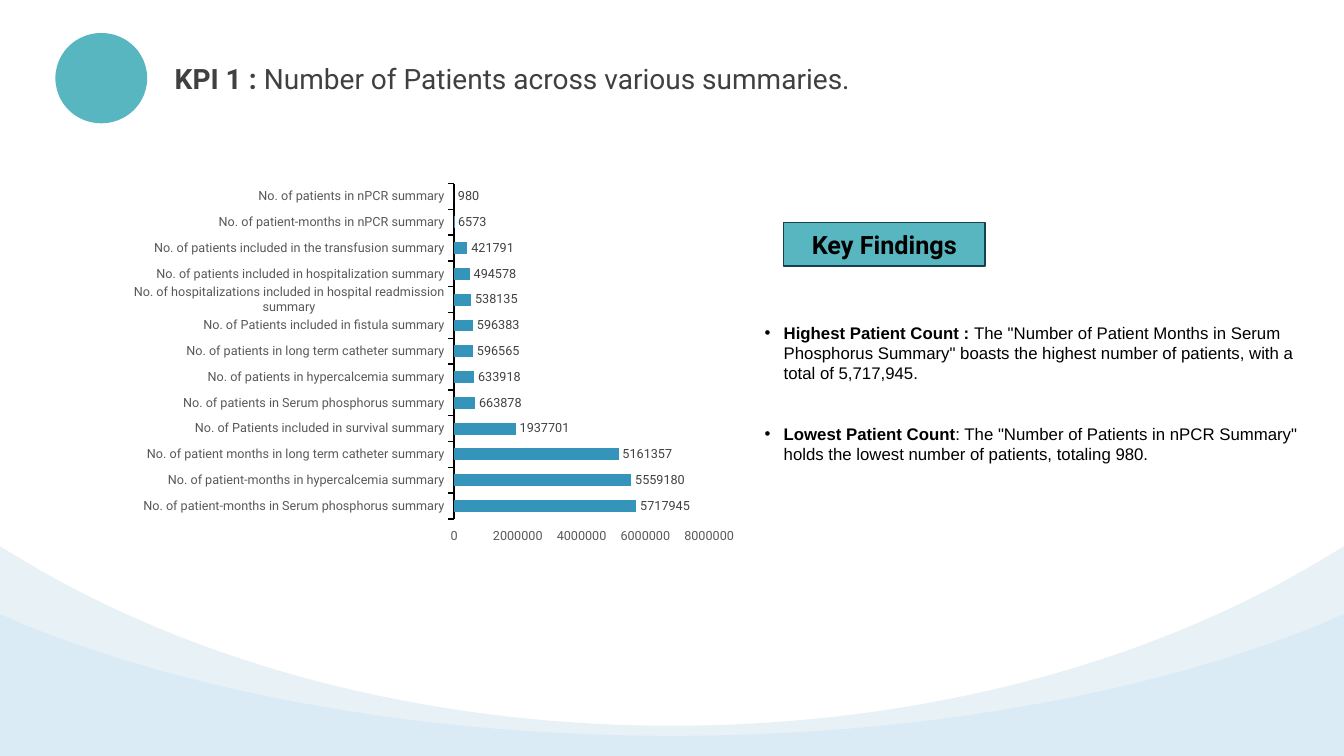
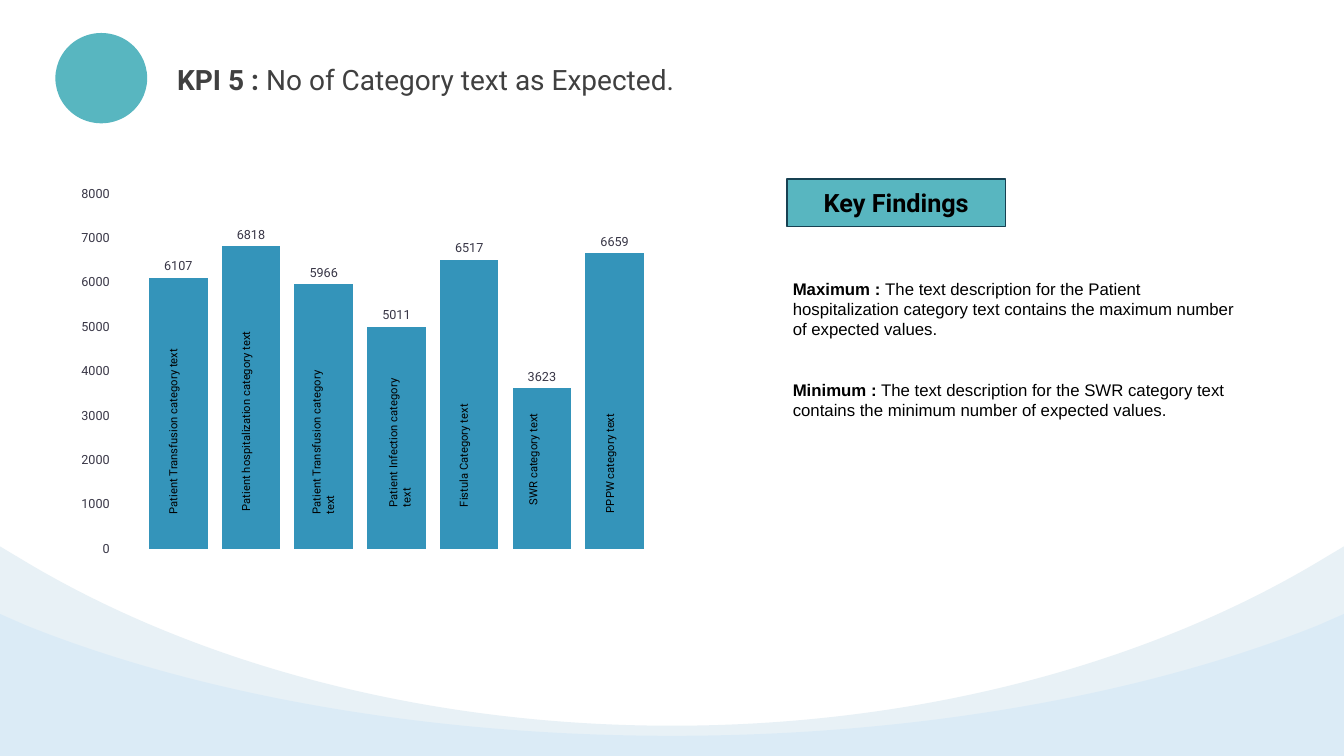
from dataclasses import dataclass
from typing import Any

from lxml.etree import SubElement
from pptx import Presentation
from pptx.chart.chart import Chart
from pptx.chart.data import CategoryChartData
from pptx.dml.color import RGBColor
from pptx.enum.chart import XL_CHART_TYPE, XL_LABEL_POSITION, XL_TICK_MARK
from pptx.enum.shapes import MSO_SHAPE
from pptx.enum.text import MSO_ANCHOR, MSO_AUTO_SIZE, PP_ALIGN
from pptx.oxml.ns import qn
from pptx.slide import Slide
from pptx.text.text import Font, TextFrame
from pptx.util import Inches, Pt

WIDTH, HEIGHT = Inches(13.33), Inches(7.5)

TEAL = RGBColor(0x58, 0xB6, 0xC0)
BLUE = RGBColor(0x34, 0x94, 0xBA)
NAVY = RGBColor(0x17, 0x41, 0x52)
PALE = RGBColor(0xE8, 0xF1, 0xF6)
SKY = RGBColor(0x7A, 0xC2, 0xF9)
BLACK = RGBColor(0, 0, 0)
DARK = RGBColor(0x40, 0x40, 0x40)
GREY = RGBColor(0x59, 0x59, 0x59)
INK = RGBColor(0x37, 0x35, 0x45)

HEAD_FONT, BODY_FONT = "Roboto", "Arial"
NO_INSETS = dict(margin_left=0, margin_top=0, margin_right=0, margin_bottom=0)


def across(share: float) -> int:
    """Percent of the slide's width."""
    return round(WIDTH * share / 100)


def down(share: float) -> int:
    """Percent of the slide's height."""
    return round(HEIGHT * share / 100)


@dataclass(frozen=True)
class Box:
    """Place and size in percent of the slide."""
    left: float
    top: float
    width: float
    height: float

    def emu(self) -> tuple[int, int, int, int]:
        return across(self.left), down(self.top), across(self.width), down(self.height)


@dataclass(frozen=True)
class Wave:
    """Heights of the edge, shoulder, control and lowest points."""
    edge: float
    shoulder: float
    control: float
    low: float
    color: RGBColor
    alpha: int = 100


@dataclass(frozen=True)
class Finding:
    lead: str
    text: str


@dataclass(frozen=True)
class BarLabel:
    text: str
    left: float
    top: float
    height: float


WAVES = (
    Wave(72.27, 74.27, 87.73, 96, PALE),
    Wave(81.2, 82.67, 91.73, 97.33, SKY, 11),
)
SHOULDER_X, CONTROL_X, LOW_X = 1.88, 14.55, 31.5

PATIENTS = (
    ("No. of patient-months in Serum phosphorus summary", 5717945),
    ("No. of patient-months in hypercalcemia summary", 5559180),
    ("No. of patient months in long term catheter summary", 5161357),
    ("No. of Patients included in survival summary", 1937701),
    ("No. of patients in Serum phosphorus summary", 663878),
    ("No. of patients in hypercalcemia summary", 633918),
    ("No. of patients in long term catheter summary", 596565),
    ("No. of Patients included in fistula summary", 596383),
    ("No. of hospitalizations included in hospital readmission summary", 538135),
    ("No. of patients included in hospitalization summary", 494578),
    ("No. of patients included in the transfusion summary", 421791),
    ("No. of patient-months in nPCR summary", 6573),
    ("No. of patients in nPCR summary", 980),
)
EXPECTED = (6107, 6818, 5966, 5011, 6517, 3623, 6659)
BAR_LABEL_WIDTH = 2.55
BAR_LABELS = (
    BarLabel("Patient Transfusion category text", 12, 41.47, 27.87),
    BarLabel("Patient hospitalization category text", 17.4, 39.87, 29.07),
    BarLabel("Patient Transfusion category text", 22.66, 45.2, 24.13),
    BarLabel("Patient Infection category text", 28.36, 47.07, 21.33),
    BarLabel("Fistula Category text", 33.61, 45.33, 23.07),
    BarLabel("SWR category text", 38.78, 51.33, 16.8),
    BarLabel("PPPW category text", 44.49, 36.4, 32.8),
)

PATIENT_FINDINGS = (
    Finding("Highest Patient Count : ",
            'The "Number of Patient Months in Serum Phosphorus Summary" boasts '
            "the highest number of patients, with a total of 5,717,945."),
    Finding("Lowest Patient Count",
            ': The "Number of Patients in nPCR Summary" holds the lowest number '
            "of patients, totaling 980."),
)
EXPECTED_FINDINGS = (
    Finding("Maximum : ",
            "The text description for the Patient hospitalization category text "
            "contains the maximum number of expected values."),
    Finding("Minimum :",
            " The text description for the SWR category text contains the "
            "minimum number of expected values."),
)


# Formatting helpers
def apply(target: Any, values: dict[str, Any]) -> None:
    for name, value in values.items():
        setattr(target, name, value)


def style_font(font: Font, size: float, color: RGBColor,
               name: str = HEAD_FONT, bold: bool = False) -> None:
    apply(font, dict(size=Pt(size), name=name, bold=bold))
    font.color.rgb = color


def add_run(p: Any, text: str, size: float, color: RGBColor = BLACK,
            name: str = HEAD_FONT, bold: bool = False) -> None:
    r = p.add_run()
    r.text = text
    style_font(r.font, size, color, name, bold)


def paint(sp: Any, color: RGBColor) -> None:
    sp.shadow.inherit = False
    sp.fill.solid()
    sp.fill.fore_color.rgb = color
    sp.line.fill.background()


def add_text_frame(s: Slide, box: Box) -> TextFrame:
    tf = s.shapes.add_textbox(*box.emu()).text_frame
    apply(tf, dict(word_wrap=True, auto_size=MSO_AUTO_SIZE.SHAPE_TO_FIT_TEXT))
    return tf


# Shared slide parts
def add_wave(s: Slide, wave: Wave) -> None:
    outline = [(across(x), down(y)) for x, y in (
        (0, wave.edge), (SHOULDER_X, wave.shoulder), (50, wave.low),
        (100 - SHOULDER_X, wave.shoulder), (100, wave.edge), (100, 100), (0, 100))]
    builder = s.shapes.build_freeform(*outline[0], scale=1.0)
    builder.add_line_segments(outline[1:], close=True)
    sp = builder.convert_to_shape()
    paint(sp, wave.color)

    # Bend the two long segments
    controls = (((CONTROL_X, wave.control), (LOW_X, wave.low)),
                ((100 - LOW_X, wave.low), (100 - CONTROL_X, wave.control)))
    lines = sp.element.xpath(".//a:lnTo")[1:3]
    for line, points in zip(lines, controls):
        line.tag = qn("a:cubicBezTo")
        for i, (x, y) in enumerate(points):
            pt = SubElement(line, qn("a:pt"))
            pt.set("x", str(across(x)))
            pt.set("y", str(down(y) - down(wave.edge)))
            line.insert(i, pt)
    if wave.alpha < 100:
        color = sp.element.xpath("p:spPr/a:solidFill/a:srgbClr")[0]
        SubElement(color, qn("a:alpha")).set("val", str(wave.alpha * 1000))


def add_kpi_slide(prs: Any, lead: str, title: str, title_box: Box) -> Slide:
    s = prs.slides.add_slide(prs.slide_layouts[5])
    for wave in WAVES:
        add_wave(s, wave)
    paint(s.shapes.add_shape(MSO_SHAPE.OVAL, *Box(4.12, 4.37, 6.83, 11.95).emu()), TEAL)

    sp = s.shapes.title
    sp.left, sp.top, sp.width, sp.height = title_box.emu()
    tf = sp.text_frame
    apply(tf, dict(NO_INSETS, word_wrap=True, vertical_anchor=MSO_ANCHOR.MIDDLE,
                   auto_size=MSO_AUTO_SIZE.NONE))
    p = tf.paragraphs[0]
    p.alignment = PP_ALIGN.LEFT
    add_run(p, lead, 20, DARK, bold=True)
    add_run(p, title, 20, DARK)
    return s


def add_key_banner(s: Slide, box: Box) -> None:
    sp = s.shapes.add_shape(MSO_SHAPE.RECTANGLE, *box.emu())
    paint(sp, TEAL)
    sp.line.color.rgb = NAVY
    sp.line.width = Pt(1)
    sp.text_frame.vertical_anchor = MSO_ANCHOR.MIDDLE
    p = sp.text_frame.paragraphs[0]
    p.alignment = PP_ALIGN.CENTER
    add_run(p, "Key Findings", 18, bold=True)


def add_findings(s: Slide, box: Box, findings: tuple[Finding, ...],
                 anchor: MSO_ANCHOR, bulleted: bool) -> None:
    tf = add_text_frame(s, box)
    tf.vertical_anchor = anchor
    for i, finding in enumerate(findings):
        p = tf.add_paragraph() if i else tf.paragraphs[0]
        if i:
            p.space_before = Pt(29)
        if bulleted:
            props = p._p.get_or_add_pPr()
            props.set("marL", str(Inches(0.19)))
            props.set("indent", str(-Inches(0.19)))
            SubElement(props, qn("a:buFont")).set("typeface", BODY_FONT)
            SubElement(props, qn("a:buChar")).set("char", "•")
        add_run(p, finding.lead, 12, name=BODY_FONT, bold=True)
        add_run(p, finding.text, 12, name=BODY_FONT)


# Charts
def add_bar_chart(s: Slide, kind: XL_CHART_TYPE, box: Box, data: CategoryChartData,
                  gap: int, overlap: int, scale: dict[str, float],
                  axis_color: RGBColor, label_color: RGBColor) -> Chart:
    chart = s.shapes.add_chart(kind, *box.emu(), data).chart
    apply(chart, dict(has_title=False, has_legend=False))
    style_font(chart.font, 10, BLACK)
    plot = chart.plots[0]
    apply(plot, dict(gap_width=gap, overlap=overlap, vary_by_categories=False))
    for series in plot.series:
        series.format.fill.solid()
        series.format.fill.fore_color.rgb = BLUE
        labels = series.data_labels
        apply(labels, dict(show_value=True, position=XL_LABEL_POSITION.OUTSIDE_END))
        style_font(labels.font, 9, label_color)
    for axis in (chart.category_axis, chart.value_axis):
        apply(axis, dict(has_major_gridlines=False,
                         major_tick_mark=XL_TICK_MARK.OUTSIDE))
        style_font(axis.tick_labels.font, 9, axis_color)
    chart.value_axis.format.line.fill.background()
    apply(chart.value_axis, scale)
    return chart


def set_plot_area(chart: Chart, x: float, y: float, w: float, h: float) -> None:
    area = chart.element.xpath("c:chart/c:plotArea")[0]
    for old in area.findall(qn("c:layout")):
        area.remove(old)
    layout = SubElement(area, qn("c:layout"))
    area.insert(0, layout)
    manual = SubElement(layout, qn("c:manualLayout"))
    values = dict(layoutTarget="inner", xMode="edge", yMode="edge", x=x, y=y, w=w, h=h)
    for name, value in values.items():
        SubElement(manual, qn(f"c:{name}")).set("val", str(value))


# Slides
def build_patients(prs: Any) -> None:
    s = add_kpi_slide(prs, "KPI 1 : ", "Number of Patients across various summaries.",
                      Box(13, 8.13, 61.82, 4.53))
    data = CategoryChartData()
    data.categories = [name for name, _ in PATIENTS]
    data.add_series("Series 1", [count for _, count in PATIENTS])
    chart = add_bar_chart(s, XL_CHART_TYPE.BAR_CLUSTERED, Box(9.03, 23.3, 46.51, 49.6),
                          data, 115, -20,
                          dict(minimum_scale=0, maximum_scale=8000000, major_unit=2000000),
                          GREY, DARK)
    line = chart.category_axis.format.line
    line.color.rgb = BLACK
    line.width = Pt(1)
    add_findings(s, Box(56.15, 41.95, 42.46, 20.13), PATIENT_FINDINGS,
                 MSO_ANCHOR.MIDDLE, bulleted=True)
    add_key_banner(s, Box(58.3, 29.47, 15, 5.73))


def build_expected(prs: Any) -> None:
    s = add_kpi_slide(prs, "KPI 5 : ", "No of Category text as Expected.",
                      Box(13.17, 8.27, 67.37, 4.53))
    data = CategoryChartData()
    data.categories = ["1"]
    for i, value in enumerate(EXPECTED, 1):
        data.add_series(f"Series {i}", [value])
    chart = add_bar_chart(s, XL_CHART_TYPE.COLUMN_CLUSTERED, Box(5.8, 23.13, 44.3, 50.53),
                          data, 100, -24,
                          dict(minimum_scale=0, maximum_scale=8000, major_unit=1000),
                          INK, INK)
    chart.category_axis.visible = False
    set_plot_area(chart, 0.07, 0.05, 0.93, 0.93)
    for label in BAR_LABELS:
        tf = add_text_frame(s, Box(label.left, label.top, BAR_LABEL_WIDTH, label.height))
        tf._txBody.bodyPr.set("vert", "vert270")
        add_run(tf.paragraphs[0], label.text, 8)
    add_key_banner(s, Box(58.55, 23.67, 16.28, 6.27))
    add_findings(s, Box(58.25, 36.2, 34.36, 22.93), EXPECTED_FINDINGS,
                 MSO_ANCHOR.TOP, bulleted=False)


def main() -> None:
    prs = Presentation()
    prs.slide_width, prs.slide_height = WIDTH, HEIGHT
    build_patients(prs)
    build_expected(prs)
    prs.save("out.pptx")


if __name__ == "__main__":
    main()
